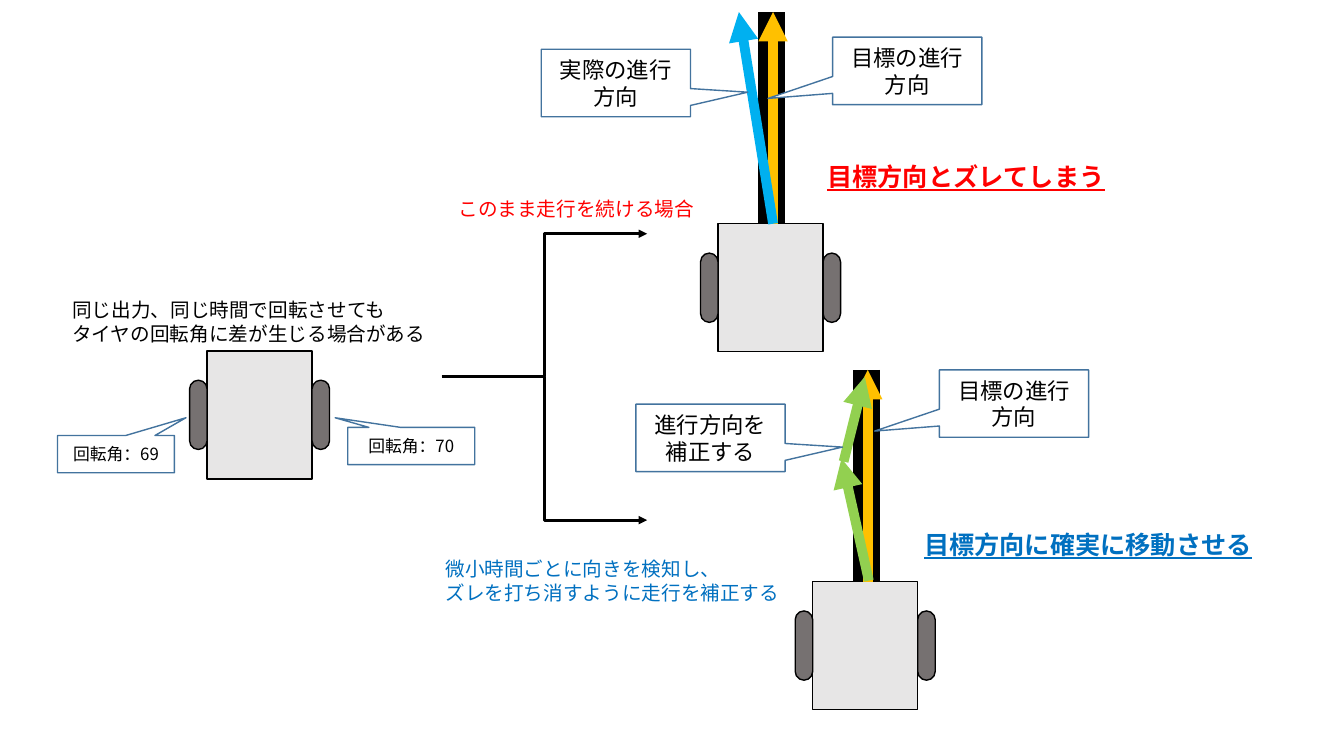
from lxml.etree import SubElement
from pptx import Presentation
from pptx.dml.color import RGBColor
from pptx.enum.shapes import MSO_CONNECTOR, MSO_SHAPE
from pptx.enum.text import MSO_ANCHOR, MSO_AUTO_SIZE, PP_ALIGN
from pptx.oxml.ns import qn
from pptx.util import Pt

FONT = "Noto Sans CJK JP"
BLACK = RGBColor(0x00, 0x00, 0x00)
WHITE = RGBColor(0xFF, 0xFF, 0xFF)
RED = RGBColor(0xFF, 0x00, 0x00)
BLUE = RGBColor(0x00, 0x70, 0xC0)
SKY = RGBColor(0x00, 0xB0, 0xF0)
GREEN = RGBColor(0x92, 0xD0, 0x50)
ORANGE = RGBColor(0xFF, 0xC0, 0x00)
WHEEL_GREY = RGBColor(0x76, 0x71, 0x71)
BODY_GREY = RGBColor(0xE7, 0xE6, 0xE6)
CALLOUT_LINE = RGBColor(0x43, 0x73, 0x9E)

BODY_WIDTH, BODY_HEIGHT = 75, 91.5
WHEEL_WIDTH, WHEEL_HEIGHT, WHEEL_DROP = 12.5, 49.5, 21
LANE_X, LANE_LENGTH = 51.8, 151.2
CAPTION = {"size": Pt(14)}
HEADING = {"size": Pt(18), "bold": True, "underline": True}
DIRECTION_SIZE = (106.6, 48.2)


def write_text(shape, text, color, values):
    """Fill a shape with text and apply the font values to each run."""
    shape.text_frame.text = text
    for paragraph in shape.text_frame.paragraphs:
        for run in paragraph.runs:
            for name, value in {"name": FONT, **values}.items():
                setattr(run.font, name, value)
            run.font.color.rgb = color
            SubElement(run.font._element, qn("a:ea"), typeface=FONT)


def add_label(slide, box, text, color, values, wrap=False):
    """Add a left-aligned text box."""
    label = slide.shapes.add_textbox(*map(Pt, box))
    write_text(label, text, color, values)
    label.text_frame.word_wrap = wrap
    label.text_frame.auto_size = MSO_AUTO_SIZE.SHAPE_TO_FIT_TEXT


def add_preset(shapes, kind, box, fill, line, adjustments=()):
    """Add a filled and outlined preset shape."""
    shape = shapes.add_shape(kind, *map(Pt, box))
    shape.shadow.inherit = False
    shape.fill.solid()
    shape.fill.fore_color.rgb = fill
    shape.line.color.rgb = line
    shape.line.width = Pt(1)
    for index, value in enumerate(adjustments):
        shape.adjustments[index] = value
    return shape


def add_callout(slide, box, text, size, pointer):
    """Add a white callout with centred text."""
    callout = add_preset(slide.shapes, MSO_SHAPE.RECTANGULAR_CALLOUT, box,
                         WHITE, CALLOUT_LINE, pointer)
    write_text(callout, text, BLACK, {"size": Pt(size)})
    callout.text_frame.vertical_anchor = MSO_ANCHOR.MIDDLE
    callout.text_frame.paragraphs[0].alignment = PP_ALIGN.CENTER


def add_line(slide, start, end, color, width, arrow=True, kind=MSO_CONNECTOR.STRAIGHT):
    """Add a connector, with an arrowhead at its end if wanted."""
    connector = slide.shapes.add_connector(kind, *map(Pt, (*start, *end)))
    connector.line.color.rgb = color
    connector.line.width = Pt(width)
    if arrow:
        SubElement(connector.line._get_or_add_ln(), qn("a:tailEnd"), type="triangle")
    SubElement(connector._element.spPr, qn("a:effectLst"))


def add_robot(slide, left, top):
    """Add a grouped robot whose left wheel starts at left."""
    shapes = slide.shapes.add_group_shape().shapes
    body_left = left + WHEEL_WIDTH
    add_preset(shapes, MSO_SHAPE.RECTANGLE, (body_left, top, BODY_WIDTH, BODY_HEIGHT),
               BODY_GREY, BLACK)
    for wheel_left in (left, body_left + BODY_WIDTH):
        add_preset(shapes, MSO_SHAPE.ROUNDED_RECTANGLE,
                   (wheel_left, top + WHEEL_DROP, WHEEL_WIDTH, WHEEL_HEIGHT),
                   WHEEL_GREY, BLACK, (0.5,))


def build_start(slide, left, top):
    """Build the robot with its unequal wheel angles."""
    add_robot(slide, left, top)
    add_label(slide, (left - 90.8, top - 41, 269.3, 41),
              "同じ出力、同じ時間で回転させても\nタイヤの回転角に差が生じる場合がある", BLACK, CAPTION)
    for x, y, width, text, pointer in (
            (113, 54.7, 90.7, "回転角：70", (-0.599, -0.759)),
            (-94.3, 60.5, 83.5, "回転角：69", (0.599, -0.978))):
        add_callout(slide, (left + x, top + y, width, 26.6), text, 12, pointer)


def build_fork(slide, left, top, width, height):
    """Build the two branches and their captions."""
    for y in (top + height, top):
        add_line(slide, (left, top + height / 2), (left + width, y), BLACK, 2,
                 kind=MSO_CONNECTOR.ELBOW)
    add_label(slide, (left + 5, top - 30.2, 184.3, 24.2),
              "このまま走行を続ける場合", RED, CAPTION)
    add_label(slide, (left - 4.3, top + height + 23, 272.9, 41),
              "微小時間ごとに向きを検知し、\vズレを打ち消すように走行を補正する", BLUE, CAPTION, True)


def build_course(slide, left, top, course):
    """Build a robot on its road with travel arrows, callouts and heading."""
    def place(point):
        return left + point[0], top + point[1]

    add_line(slide, place((LANE_X - 1, -LANE_LENGTH)), place((LANE_X - 1, 41)),
             BLACK, 19, arrow=False)
    add_robot(slide, left, top)
    add_line(slide, place((LANE_X, 0)), place((LANE_X, -LANE_LENGTH)), ORANGE, 7)
    for start, end in course["travel"]:
        add_line(slide, place(start), place(end), course["travel_color"], 7)
    for text, position, pointer in (
            ("目標の進行方向", course["target_at"], (-0.933, 0.408)),
            (course["note"], course["note_at"], (0.884, 0.137))):
        add_callout(slide, (*place(position), *DIRECTION_SIZE), text, 16, pointer)
    add_label(slide, (*place(course["heading_at"]), course["heading_width"], 28.8),
              course["heading"], course["heading_color"], HEADING)


DRIFTING = {
    "travel": [((LANE_X, 0), (27.4, -LANE_LENGTH))], "travel_color": SKY,
    "target_at": (94.3, -133.2),
    "note": "実際の進行方向", "note_at": (-113.8, -124.6),
    "heading": "目標方向とズレてしまう", "heading_at": (83.5, -48.2),
    "heading_width": 214.6, "heading_color": RED,
}
CORRECTED = {
    "travel": [((52.6, -0.7), (33.1, -87.8)), ((34.6, -85.7), (49.7, -146.2))],
    "travel_color": GREEN,
    "target_at": (103, -151.2),
    "note": "進行方向を補正する", "note_at": (-113.8, -126.7),
    "heading": "目標方向に確実に移動させる", "heading_at": (85, -41),
    "heading_width": 250.6, "heading_color": BLUE,
}

presentation = Presentation()
presentation.slide_width, presentation.slide_height = Pt(960), Pt(540)
slide = presentation.slides.add_slide(presentation.slide_layouts[6])
build_start(slide, 135.4, 250.6)
build_course(slide, 500.4, 159.8, DRIFTING)
build_course(slide, 568, 415.4, CORRECTED)
build_fork(slide, 315.4, 167, 146.9, 204.5)
presentation.save("out.pptx")
